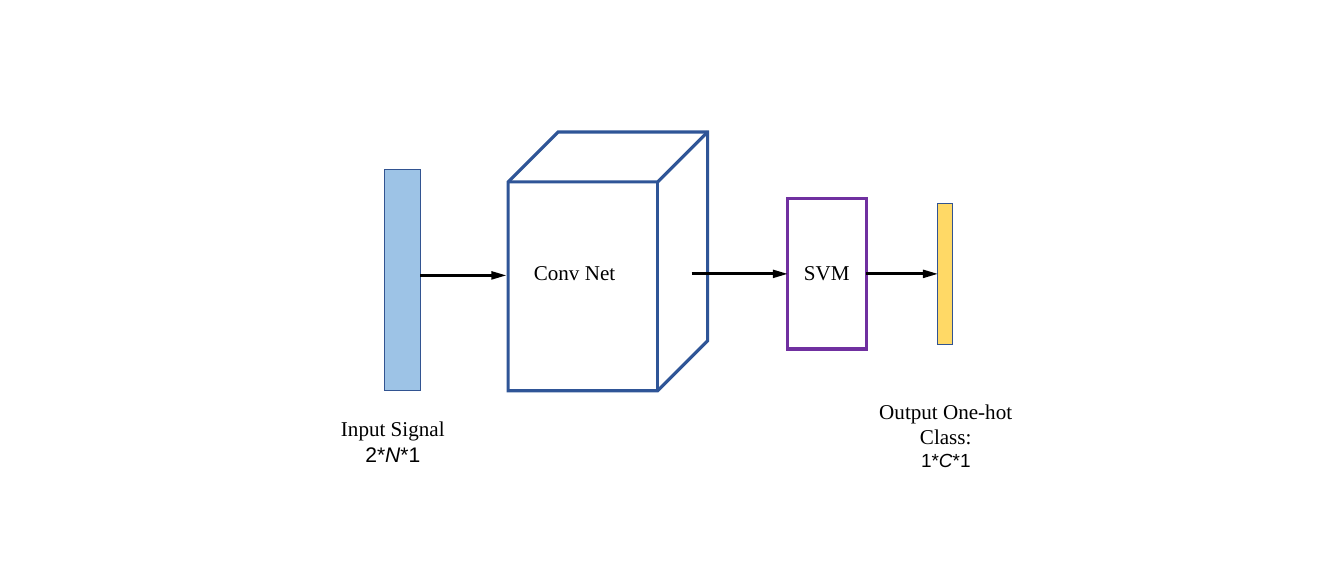
from dataclasses import dataclass
from typing import Optional

from lxml import etree
from pptx import Presentation
from pptx.dml.color import RGBColor
from pptx.enum import shapes, text
from pptx.oxml import ns
from pptx.util import Inches, Pt

COLORS = {
    "black": "000000",
    "input": "9DC3E6",
    "output": "FFD966",
    "bar_line": "325491",
    "cube_line": "2F5597",
    "svm_line": "7030A0",
}
SERIF, SANS = "Times New Roman", "Arial"
RECT, CUBE = shapes.MSO_SHAPE.RECTANGLE, shapes.MSO_SHAPE.CUBE
LEFT, CENTER = text.PP_ALIGN.LEFT, text.PP_ALIGN.CENTER


@dataclass
class Block:
    key: str
    box: tuple[float, float, float, float]
    line: str
    width: float
    fill: Optional[str] = None
    kind: int = RECT


@dataclass
class Arrow:
    x1: float
    x2: float
    y: float
    begin: Optional[str] = None
    end: Optional[str] = None


@dataclass
class Run:
    text: str
    font: str = SERIF
    size: float = 20
    italic: bool = False


@dataclass
class Label:
    box: tuple[float, float, float, float]
    lines: list[list[Run]]
    align: int = CENTER


def rgb(name: str) -> RGBColor:
    return RGBColor.from_string(COLORS[name])


def size_runs(count: str, symbol: str, size: float) -> list[Run]:
    return [Run(f"{count}*", SANS, size), Run(symbol, SANS, size, True),
            Run("*1", SANS, size)]


def style_line(sp, color: str, width: float):
    """Set colour, width and sharp corners; return the line element."""
    sp.line.color.rgb = rgb(color)
    sp.line.width = Pt(width)
    ln = sp.line._get_or_add_ln()
    etree.SubElement(ln, ns.qn("a:miter"), lim="800000")
    return ln


def draw_block(slide, block: Block):
    sp = slide.shapes.add_shape(block.kind, *map(Inches, block.box))
    sp.shadow.inherit = False
    if block.fill:
        sp.fill.solid()
        sp.fill.fore_color.rgb = rgb(block.fill)
    else:
        sp.fill.background()
    style_line(sp, block.line, block.width)
    return sp


def draw_arrow(slide, arrow: Arrow, blocks: dict) -> None:
    y = Inches(arrow.y)
    cxn = slide.shapes.add_connector(
        shapes.MSO_CONNECTOR.STRAIGHT, Inches(arrow.x1), y, Inches(arrow.x2), y)
    if arrow.begin:
        cxn.begin_connect(blocks[arrow.begin], 3)
    if arrow.end:
        cxn.end_connect(blocks[arrow.end], 1)
    ln = style_line(cxn, "black", 2.75)
    etree.SubElement(ln, ns.qn("a:tailEnd"), type="triangle", w="med", len="lg")
    etree.SubElement(cxn._element.spPr, ns.qn("a:effectLst"))


def draw_label(slide, label: Label) -> None:
    tf = slide.shapes.add_textbox(*map(Inches, label.box)).text_frame
    tf.word_wrap = True
    tf.auto_size = text.MSO_AUTO_SIZE.SHAPE_TO_FIT_TEXT
    for i, line in enumerate(label.lines):
        p = tf.add_paragraph() if i else tf.paragraphs[0]
        p.alignment = label.align
        for run in line:
            r = p.add_run()
            r.text = run.text
            r.font.name = run.font
            r.font.size = Pt(run.size)
            r.font.italic = run.italic
            r.font.color.rgb = rgb("black")


# Stages of the network, left to right
BLOCKS = [
    Block("input", (5.07, 2.24, 0.47, 2.91), "bar_line", 1, "input"),
    Block("conv", (6.7, 1.74, 2.63, 3.41), "cube_line", 3, kind=CUBE),
    Block("svm", (10.38, 2.62, 1.04, 1.98), "svm_line", 3),
    Block("output", (12.36, 2.68, 0.2, 1.86), "bar_line", 1, "output"),
]

# Flow between the stages
ARROWS = [
    Arrow(5.54, 6.67, 3.63),
    Arrow(9.12, 10.38, 3.61, end="svm"),
    Arrow(11.42, 12.36, 3.61, begin="svm", end="output"),
]

# Captions
LABELS = [
    Label((4.23, 5.43, 1.9, 0.77), [[Run("Input Signal")], size_runs("2", "N", 20)]),
    Label((6.94, 3.37, 1.93, 0.44), [[Run("Conv Net")]], LEFT),
    Label((10.5, 3.37, 1.04, 0.44), [[Run("SVM")]], LEFT),
    Label((11.45, 5.2, 2.04, 1.08),
          [[Run("Output One-hot Class:")], size_runs("1", "C", 18)]),
]


def main() -> None:
    prs = Presentation()
    prs.slide_width, prs.slide_height = Inches(17.72), Inches(7.5)
    slide = prs.slides.add_slide(prs.slide_layouts[6])
    blocks = {block.key: draw_block(slide, block) for block in BLOCKS}
    for arrow in ARROWS:
        draw_arrow(slide, arrow, blocks)
    for label in LABELS:
        draw_label(slide, label)
    prs.save("out.pptx")


if __name__ == "__main__":
    main()
